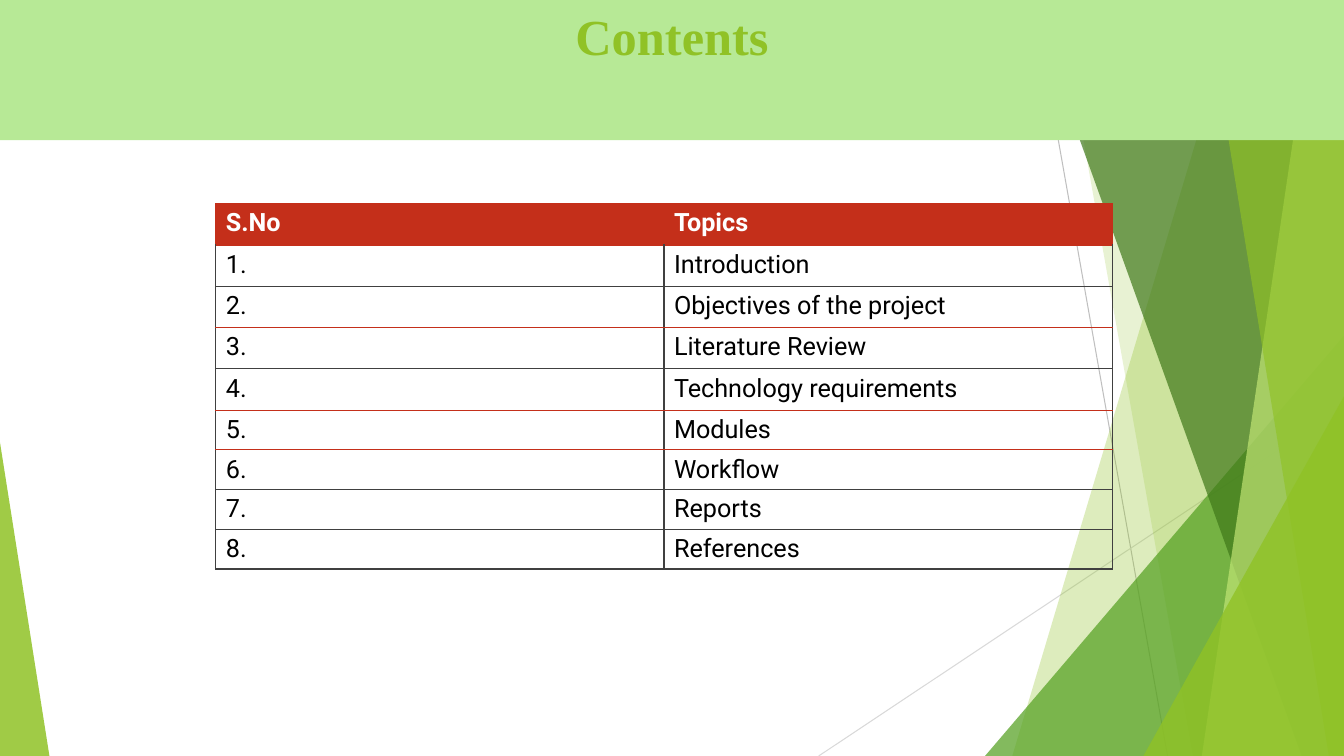
"""Build a contents slide with a topics table over green facets."""
from lxml.etree import SubElement
from pptx import Presentation
from pptx.dml.color import RGBColor
from pptx.enum.shapes import MSO_CONNECTOR, MSO_SHAPE
from pptx.enum.text import MSO_ANCHOR, PP_ALIGN
from pptx.oxml.ns import qn
from pptx.util import Inches, Pt

GREEN, RED, DARK = "90C226", "C42F1A", "404040"


def paint(fill, color, opacity=100):
    fill.solid()
    fill.fore_color.rgb = RGBColor.from_string(color)
    if opacity < 100:
        color_element = fill._xPr.find(qn("a:solidFill"))[0]
        SubElement(color_element, qn("a:alpha"), val=str(opacity * 1000))


def add_border(cell, side, color):
    properties = cell._tc.get_or_add_tcPr()
    border = SubElement(properties, qn(f"a:ln{side}"), w=str(Pt(1)))
    border_fill = SubElement(border, qn("a:solidFill"))
    SubElement(border_fill, qn("a:srgbClr"), val=color)


presentation = Presentation()
presentation.slide_width = Inches(13.33)
presentation.slide_height = Inches(7.5)
slide = presentation.slides.add_slide(presentation.slide_layouts[5])
shapes = slide.shapes

rays = [
    ((10.25, 0), (11.58, 7.5), "BFBFBF"),
    ((13.33, 4.03), (8.12, 7.5), "D9D9D9"),
]
for start, end, color in rays:
    ends = [Inches(value) for value in start + end]
    ray = shapes.add_connector(MSO_CONNECTOR.STRAIGHT, *ends)
    ray.line.width = Pt(0.75)
    paint(ray.line.fill, color)
    SubElement(ray._element.spPr, qn("a:effectLst"))

# Each facet runs to the right edge: ("facet", top x, bottom x) or ("triangle", box, apex)
facets = [
    ("facet", (12.28, 10.04), None, GREEN, 30),
    ("facet", (10.5, 11.83), None, GREEN, 20),
    ("triangle", (9.77, 3.33, 3.56, 4.17), 1, "54A021", 72),
    ("facet", (10.21, 12.91), None, "3F7819", 70),
    ("facet", (13.03, 11.92), None, "C0E474", 70),
    ("facet", (11.96, 13.18), None, GREEN, 65),
    ("triangle", (11.34, 3.93, 1.99, 3.57), 1, GREEN, 80),
    ("triangle", (0, 4.39, 0.49, 3.11), 0, GREEN, 85),
]
for kind, position, apex, color, opacity in facets:
    if kind == "facet":
        top, bottom = (Inches(value) for value in position)
        right, floor = presentation.slide_width, presentation.slide_height
        builder = shapes.build_freeform(top, 0)
        builder.add_line_segments([(right, 0), (right, floor), (bottom, floor)])
        shape = builder.convert_to_shape()
    else:
        box = [Inches(value) for value in position]
        shape = shapes.add_shape(MSO_SHAPE.ISOSCELES_TRIANGLE, *box)
        shape.adjustments[0] = apex
    shape.shadow.inherit = False
    shape.line.fill.background()
    paint(shape.fill, color, opacity)

title = shapes.title
shapes.element.append(title.element)
title_box = {"left": 0, "top": 0, "width": 13.33, "height": 1.39}
for name, value in title_box.items():
    setattr(title, name, Inches(value))
paint(title.fill, "B7E996")
title.text_frame.text = "Contents"
title.text_frame.vertical_anchor = MSO_ANCHOR.TOP
paragraph = title.text_frame.paragraphs[0]
paragraph.alignment = PP_ALIGN.CENTER
title_font = {"name": "Times New Roman", "size": Pt(36), "bold": True}
for name, value in title_font.items():
    setattr(paragraph.font, name, value)
paint(paragraph.font.fill, GREEN)

topics = [
    "Introduction", "Objectives of the project", "Literature Review",
    "Technology requirements", "Modules", "Workflow", "Reports", "References",
]
rows = [("S.No", "Topics")]
rows += [(f"{number}.", topic) for number, topic in enumerate(topics, 1)]
table_box = [Inches(value) for value in (2.14, 2.02, 8.89, 3.63)]
table = shapes.add_table(len(rows), 2, *table_box).table
table.horz_banding = False
red_rules = {0, 1, 3, 5, 6}

for row_index, texts in enumerate(rows):
    is_header = row_index == 0
    table.rows[row_index].height = Inches(0.41 if row_index < 5 else 0.39)
    side_color = RED if is_header else DARK
    top_color, bottom_color = (
        RED if rule in red_rules else DARK for rule in (row_index, row_index + 1)
    )
    borders = {"L": side_color, "R": side_color, "T": top_color, "B": bottom_color}
    cell_font = {"name": "Roboto", "size": Pt(18), "bold": is_header}
    for column_index, text in enumerate(texts):
        cell = table.cell(row_index, column_index)
        cell.text = text
        for side, color in borders.items():
            add_border(cell, side, color)
        if is_header:
            paint(cell.fill, RED)
        else:
            cell.fill.background()
        font = cell.text_frame.paragraphs[0].runs[0].font
        for name, value in cell_font.items():
            setattr(font, name, value)
        paint(font.fill, "FFFFFF" if is_header else "000000")

presentation.save("out.pptx")
